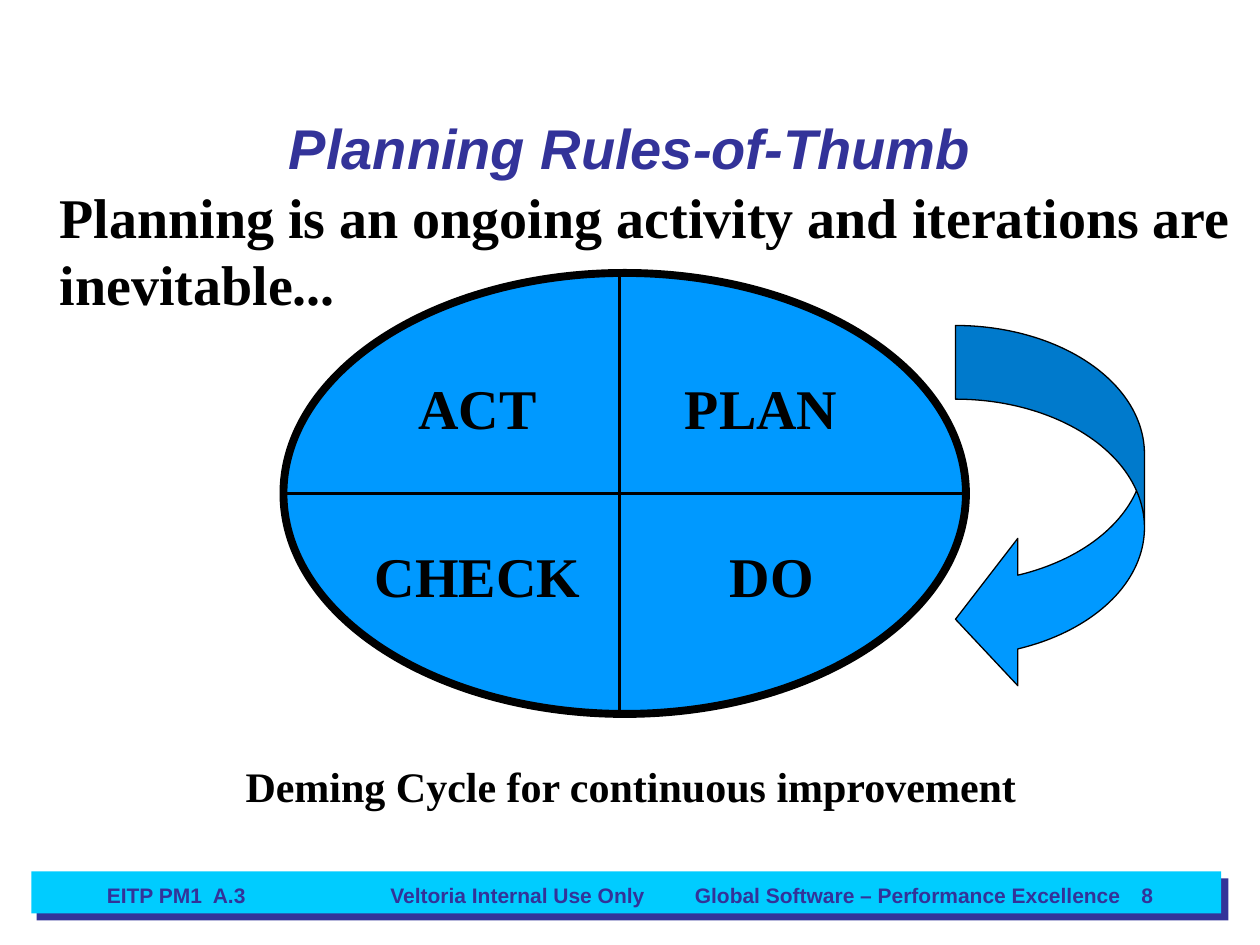
from pptx import Presentation, util as u
from pptx.dml.color import RGBColor
from pptx.enum import shapes, text
from lxml import etree

NAVY, CYAN, BLUE, BLACK = "333399", "00CCFF", "0099FF", "000000"
SERIF, SANS = "Times New Roman", "Arial"
A = "http://schemas.openxmlformats.org/drawingml/2006/main"

prs = Presentation()
prs.slide_width, prs.slide_height = u.Inches(10), u.Inches(7.5)
s = prs.slides.add_slide(prs.slide_layouts[5])
G = prs.slide_width / 120  # grid of 120 columns by 90 rows


def rgb(code):
    return RGBColor.from_string(code)


def put_text(words, box, sp=None, size=32, font=SERIF, color=BLACK,
             align=text.PP_ALIGN.LEFT, anchor=text.MSO_ANCHOR.TOP, italic=False):
    x, y, w, h = [round(v * G) for v in box]
    if sp is None:
        sp = s.shapes.add_textbox(x, y, w, h)
    sp.left, sp.top, sp.width, sp.height = x, y, w, h
    tf = sp.text_frame
    tf.word_wrap, tf.vertical_anchor = True, anchor
    tf.auto_size = text.MSO_AUTO_SIZE.NONE
    p = tf.paragraphs[0]
    p.alignment = align
    r = p.add_run()
    r.text = words
    r.font.size, r.font.name = u.Pt(size), font
    r.font.bold, r.font.italic = True, italic
    r.font.color.rgb = rgb(color)


# Footer bar over its offset shade, then the cycle's ellipse and arrow
kinds = shapes.MSO_SHAPE
for kind, box, fill, line in [
    (kinds.RECTANGLE, (3.5, 83.65, 113.5, 4), NAVY, 0),
    (kinds.RECTANGLE, (3, 83, 113.3, 4), CYAN, 0),
    (kinds.OVAL, (27, 26, 65, 42), BLUE, 4.5),
    (kinds.CURVED_LEFT_ARROW, (91, 31, 18, 35), BLUE, 0.75),
]:
    sp = s.shapes.add_shape(kind, *[round(v * G) for v in box])
    sp.shadow.inherit = False
    sp.fill.solid()
    sp.fill.fore_color.rgb = rgb(fill)
    if line:
        sp.line.color.rgb = rgb(BLACK)
        sp.line.width = u.Pt(line)
    else:
        sp.line.fill.background()
    if kind == kinds.CURVED_LEFT_ARROW:
        for i, share in enumerate((0.39, 0.78, 0.33)):
            sp.adjustments[i] = share

# Lines that quarter the ellipse
for ends in [(59, 26, 59, 68), (27, 47, 92, 47)]:
    c = s.shapes.add_connector(shapes.MSO_CONNECTOR.STRAIGHT,
                               *[round(v * G) for v in ends])
    c.line.color.rgb = rgb(BLACK)
    c.line.width = u.Pt(2.25)
    etree.SubElement(c._element.spPr, f"{{{A}}}effectLst")

# Title and statements
put_text("Planning Rules-of-Thumb", (9, 10, 102, 8), sp=s.shapes.title,
         font=SANS, color=NAVY, italic=True,
         align=text.PP_ALIGN.CENTER, anchor=text.MSO_ANCHOR.MIDDLE)
put_text("Planning is an ongoing activity and iterations are inevitable...",
         (4.5, 16.8, 116.5, 14))
put_text("Deming Cycle for continuous improvement", (22.2, 71.8, 92, 6), size=24)

# Quadrant labels
for words, x, y, w in [("ACT", 36, 35, 19), ("PLAN", 63, 35, 19),
                       ("CHECK", 34, 51, 23), ("DO", 64, 51, 19)]:
    put_text(words, (x, y, w, 7.7), align=text.PP_ALIGN.CENTER)

# Footer texts
for words, x, w, align in [
    ("EITP PM1  A.3", 9, 25, text.PP_ALIGN.LEFT),
    ("Veltoria Internal Use Only", 36, 39, text.PP_ALIGN.LEFT),
    ("Global Software – Performance Excellence", 65, 43.7, text.PP_ALIGN.LEFT),
    ("8", 86, 25, text.PP_ALIGN.RIGHT),
]:
    put_text(words, (x, 83.5, w, 3.5), size=12, font=SANS, color=NAVY, align=align)

prs.save("out.pptx")
